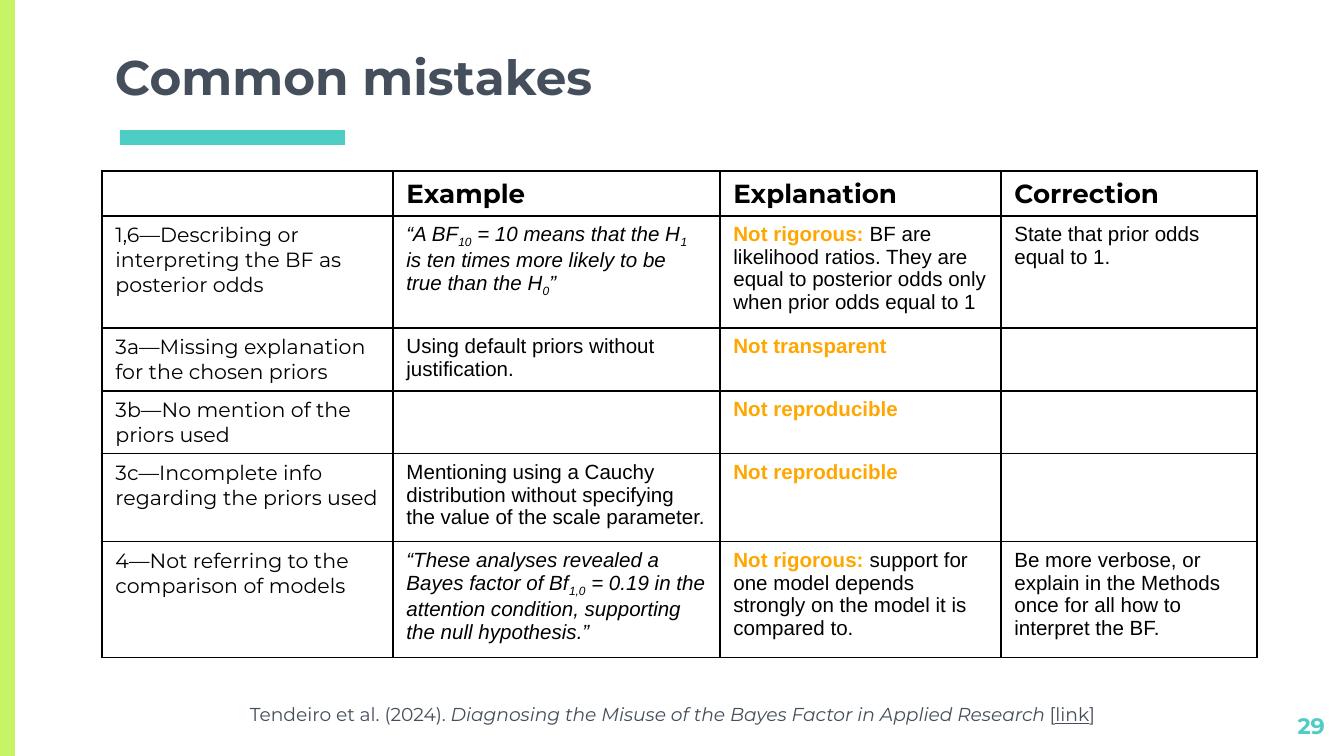
import lxml.etree
import pptx
import pptx.dml.color
import pptx.enum.shapes
import pptx.enum.text
import pptx.oxml.ns
import pptx.util

RGBColor = pptx.dml.color.RGBColor
TEAL = RGBColor(0x4E, 0xCD, 0xC4)
LIME = RGBColor(0xC7, 0xF4, 0x64)
SLATE = RGBColor(0x45, 0x4F, 0x5B)
ORANGE = RGBColor(0xFF, 0xA6, 0x00)
BLACK = RGBColor(0, 0, 0)

EMU_PER_PX = 914400 / 134.4
SLIDE_SIZE = (1344, 756)

FORMATS = {
    "title": {"name": "Montserrat", "size": 26, "color": SLATE, "bold": True},
    "number": {"name": "Montserrat", "size": 12, "color": TEAL, "bold": True},
    "source": {"name": "Montserrat", "size": 10, "color": SLATE},
    "header": {"name": "Montserrat", "size": 14, "color": BLACK, "bold": True},
    "mistake": {"name": "Montserrat", "size": 11, "color": BLACK},
    "body": {"name": "Arial", "size": 11, "color": BLACK},
}
FORMATS["work"] = {**FORMATS["source"], "italic": True}
FORMATS["link"] = {**FORMATS["source"], "underline": True}
FORMATS["quote"] = {**FORMATS["body"], "italic": True}
FORMATS["subscript"] = {**FORMATS["quote"], "baseline": -25000}
FORMATS["verdict"] = {**FORMATS["body"], "color": ORANGE, "bold": True}

BARS = [((120, 130, 225, 15), TEAL), ((0, 0, 15, 756), LIME)]

MIDDLE, BOTTOM, TOP = (
    pptx.enum.text.MSO_ANCHOR.MIDDLE,
    pptx.enum.text.MSO_ANCHOR.BOTTOM,
    pptx.enum.text.MSO_ANCHOR.TOP,
)
LEFT, RIGHT = pptx.enum.text.PP_ALIGN.LEFT, pptx.enum.text.PP_ALIGN.RIGHT
TEXTS = [
    ((102, -24, 1173, 142), 13, BOTTOM, LEFT, [("Common mistakes", "title")]),
    ((1258, 699, 80, 46), 13, TOP, RIGHT, [("29", "number")]),
    ((237, 696, 906, 36), 7, TOP, LEFT, [
        ("Tendeiro et al. (2024). ", "source"),
        ("Diagnosing the Misuse of the Bayes Factor in Applied Research", "work"),
        (" [", "source"),
        ("link", "link"),
        ("]", "source"),
    ]),
]

TABLE_ORIGIN = (102, 171)
COLUMN_WIDTHS = [291, 327, 281, 256]
ROW_HEIGHTS = [45, 112, 63, 62, 88, 115]
ROWS = [
    [[], [("Example", "header")], [("Explanation", "header")], [("Correction", "header")]],
    [
        [("1,6—Describing or interpreting the BF as posterior odds", "mistake")],
        [
            ("“A BF", "quote"), ("10", "subscript"),
            (" = 10 means that the H", "quote"), ("1", "subscript"),
            (" is ten times more likely to be true than the H", "quote"),
            ("0", "subscript"), ("”", "quote"),
        ],
        [
            ("Not rigorous: ", "verdict"),
            ("BF are likelihood ratios. They are equal to posterior odds only "
             "when prior odds equal to 1", "body"),
        ],
        [("State that prior odds equal to 1.", "body")],
    ],
    [
        [("3a—Missing explanation for the chosen priors", "mistake")],
        [("Using default priors without justification.", "body")],
        [("Not transparent", "verdict")],
        [],
    ],
    [
        [("3b—No mention of the priors used", "mistake")],
        [],
        [("Not reproducible", "verdict")],
        [],
    ],
    [
        [("3c—Incomplete info regarding the priors used", "mistake")],
        [("Mentioning using a Cauchy distribution without specifying the value "
          "of the scale parameter.", "body")],
        [("Not reproducible", "verdict")],
        [],
    ],
    [
        [("4—Not referring to the comparison of models", "mistake")],
        [
            ("“These analyses revealed a Bayes factor of Bf", "quote"),
            ("1,0", "subscript"),
            (" = 0.19 in the attention condition, supporting the null hypothesis.”", "quote"),
        ],
        [
            ("Not rigorous:", "verdict"),
            (" support for one model depends strongly on the model it is compared to.", "body"),
        ],
        [("Be more verbose, or explain in the Methods once for all how to "
          "interpret the BF.", "body")],
    ],
]


def px(length):
    return pptx.util.Emu(round(length * EMU_PER_PX))


def box(lengths):
    return [px(length) for length in lengths]


def add_runs(paragraph, runs):
    for text, format_name in runs:
        run = paragraph.add_run()
        run.text = text
        for key, value in FORMATS[format_name].items():
            if key == "color":
                run.font.color.rgb = value
            elif key == "baseline":
                run._r.get_or_add_rPr().set("baseline", str(value))
            else:
                setattr(run.font, key, pptx.util.Pt(value) if key == "size" else value)
    if not runs:
        end = lxml.etree.SubElement(paragraph._p, pptx.oxml.ns.qn("a:endParaRPr"))
        end.set("sz", "1100")


def add_borders(cell):
    properties = cell._tc.get_or_add_tcPr()
    for index, side in enumerate(("lnL", "lnR", "lnT", "lnB")):
        line = lxml.etree.Element(pptx.oxml.ns.qn("a:" + side), w=str(pptx.util.Pt(0.75)))
        fill = lxml.etree.SubElement(line, pptx.oxml.ns.qn("a:solidFill"))
        lxml.etree.SubElement(fill, pptx.oxml.ns.qn("a:srgbClr"), val=str(BLACK))
        properties.insert(index, line)


def add_bar(slide, place, color):
    shape = slide.shapes.add_shape(pptx.enum.shapes.MSO_SHAPE.RECTANGLE, *box(place))
    shape.shadow.inherit = False
    shape.fill.solid()
    shape.fill.fore_color.rgb = color
    shape.line.fill.background()


def add_text(slide, place, inset, anchor, alignment, runs):
    frame = slide.shapes.add_textbox(*box(place)).text_frame
    settings = {
        "word_wrap": True, "vertical_anchor": anchor,
        "margin_left": px(13), "margin_right": px(13),
        "margin_top": px(inset), "margin_bottom": px(inset),
    }
    for key, value in settings.items():
        setattr(frame, key, value)
    frame.paragraphs[0].alignment = alignment
    add_runs(frame.paragraphs[0], runs)


def add_mistakes_table(slide):
    size = (sum(COLUMN_WIDTHS), sum(ROW_HEIGHTS))
    table = slide.shapes.add_table(
        len(ROW_HEIGHTS), len(COLUMN_WIDTHS), *box(TABLE_ORIGIN + size)
    ).table
    table.first_row = table.horz_banding = False
    for column, width in zip(table.columns, COLUMN_WIDTHS):
        column.width = px(width)
    for row, height, contents in zip(table.rows, ROW_HEIGHTS, ROWS):
        row.height = px(height)
        for cell, runs in zip(row.cells, contents):
            cell.fill.background()
            add_borders(cell)
            add_runs(cell.text_frame.paragraphs[0], runs)


def main():
    presentation = pptx.Presentation()
    presentation.slide_width, presentation.slide_height = box(SLIDE_SIZE)
    slide = presentation.slides.add_slide(presentation.slide_layouts[6])
    for bar in BARS:
        add_bar(slide, *bar)
    for text in TEXTS:
        add_text(slide, *text)
    add_mistakes_table(slide)
    presentation.save("out.pptx")


if __name__ == "__main__":
    main()
